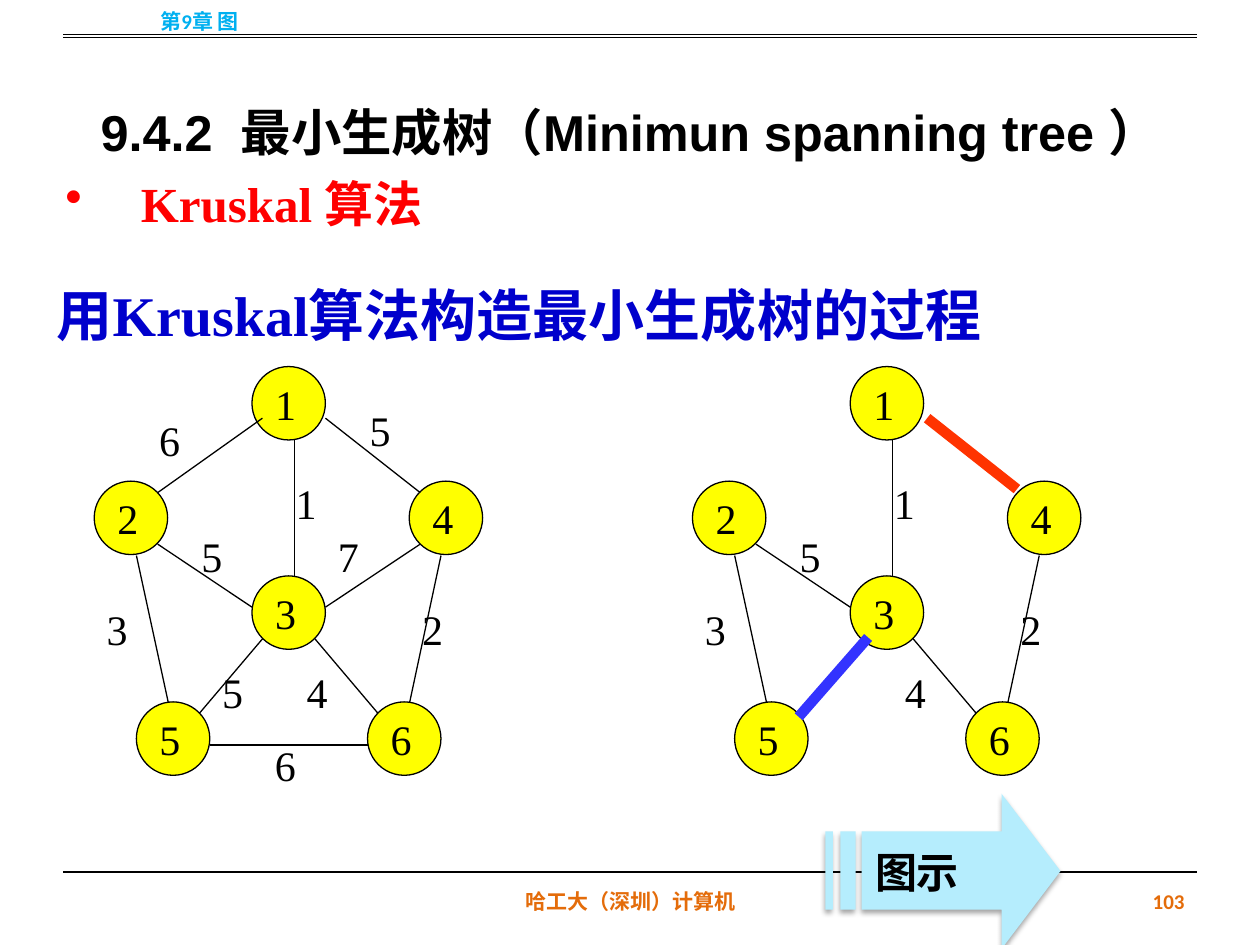
from lxml import etree
from pptx import Presentation
from pptx.dml.color import RGBColor
from pptx.enum.shapes import MSO_CONNECTOR, MSO_SHAPE
from pptx.enum.text import MSO_ANCHOR, PP_ALIGN
from pptx.oxml.ns import qn
from pptx.util import Cm, Pt

LINE, OVAL = MSO_CONNECTOR.STRAIGHT, MSO_SHAPE.OVAL
TOP, MID = MSO_ANCHOR.TOP, MSO_ANCHOR.MIDDLE
LEFT, MIDST, RIGHT, JUST = (PP_ALIGN.LEFT, PP_ALIGN.CENTER,
                            PP_ALIGN.RIGHT, PP_ALIGN.JUSTIFY)
SERIF = "Times New Roman"
HUE = {"black": "000000", "orange": "E46C0A", "sky": "00B0F0", "navy": "0000CC",
       "red": "FF0000", "node": "FFFF00", "arrow": "B5EDFD",
       "blue": "3333FF", "flame": "FF3300"}

# Content; all lengths are in centimetres
FRAME = [
    ("9.4.2  最小生成树（Minimun spanning tree ）", (1.27, 0.76, 22.86, 3.18),
     dict(size=28.8, font="Arial", bold=True, align=MIDST, anchor=MID, space=1.5)),
    ("哈工大（深圳）计算机", (8.69, 17.65, 8.05, 1.02),
     dict(size=12, font="Calibri", hue="orange", bold=True, align=MIDST, anchor=MID)),
    ("103", (18.21, 17.65, 5.92, 1.02),
     dict(size=12, font="Calibri", hue="orange", bold=True, align=RIGHT, anchor=MID)),
    ("第9章 图", (0, -0.08, 8.05, 1.02),
     dict(size=12, font="Calibri", hue="sky", bold=True, align=MIDST, anchor=MID)),
    ("用Kruskal算法构造最小生成树的过程", (0.89, 5.54, 19.2, 1.6),
     dict(size=32, hue="navy", bold=True)),
    ("Kruskal 算法", (-0.2, 3.38, 10.82, 1.45),
     dict(size=28, hue="red", bold=True, align=JUST, bullet=(2.79, -1.52))),
]
RULES = [0.69, 0.76, 17.58]
NODES = {"1": (5.08, 7.39), "2": (1.9, 9.7), "3": (5.08, 11.61),
         "4": (8.25, 9.7), "5": (2.75, 14.15), "6": (7.41, 14.15)}
# edge: line ends, weight, corner of the weight's box
EDGES = {
    "12": ((5.29, 8.43, 3.18, 9.93), "6", (2.96, 8.23)),
    "14": ((6.56, 8.43, 8.47, 9.93), "5", (7.2, 8.02)),
    "23": ((3.18, 10.97, 5.08, 12.24), "5", (3.81, 10.57)),
    "34": ((6.56, 12.24, 8.47, 10.97), "7", (6.56, 10.57)),
    "25": ((2.75, 11.2, 3.39, 14.15), "3", (1.9, 12.04)),
    "46": ((8.89, 11.2, 8.26, 14.15), "2", (8.26, 12.04)),
    "56": ((4.23, 15.02, 7.41, 15.02), "6", (5.29, 14.78)),
    "13": ((5.93, 8.87, 5.93, 11.61), "1", (5.71, 9.5)),
    "35": ((5.29, 12.88, 4.02, 14.38), "5", (4.23, 13.31)),
    "36": ((6.35, 12.88, 7.62, 14.38), "4", (5.93, 13.31)),
}
GRAPHS = [(0, list(EDGES)), (12.06, ["23", "13", "25", "46", "36"])]
TRIALS = [((16.1, 14.45, 17.5, 12.85), "blue"), ((18.69, 8.43, 20.5, 9.86), "flame")]
NODE, TAG = 1.48, (1.48, 1.27)
HIGH, LOW = 16.76, 18.34
STRIPES = [(16.94, 17.25), (16.64, 16.79)]
HEAD = [(20.19, 16), (20.19, HIGH), (17.37, HIGH), (17.37, LOW),
        (20.19, LOW), (20.19, 19.13), (21.38, 17.56)]

deck = Presentation()
deck.slide_width, deck.slide_height = Cm(25.4), Cm(19.05)
slide = deck.slides.add_slide(deck.slide_layouts[6])
shapes = slide.shapes


def rgb(name):
    return RGBColor.from_string(HUE[name])


def write(shape, text, size=24, font=SERIF, hue="black", bold=False, align=LEFT,
          anchor=TOP, wrap=True, space=None, bullet=None):
    frame = shape.text_frame
    frame.word_wrap, frame.vertical_anchor = wrap, anchor
    para = frame.paragraphs[0]
    para.alignment = align
    if space:
        para.line_spacing = space
    if bullet:
        props = para._p.get_or_add_pPr()
        props.set("marL", str(Cm(bullet[0])))
        props.set("indent", str(Cm(bullet[1])))
        etree.SubElement(props, qn("a:buChar")).set("char", "•")
    run = para.add_run()
    run.text = text
    run.font.size, run.font.name, run.font.bold = Pt(size), font, bold
    run.font.color.rgb = rgb(hue)


def label(text, box, **form):
    write(shapes.add_textbox(*map(Cm, box)), text, **form)


def rule(ends, hue="black", width=0.75):
    line = shapes.add_connector(LINE, *map(Cm, ends))
    line.line.color.rgb, line.line.width = rgb(hue), Pt(width)
    etree.SubElement(line._element.spPr, qn("a:effectLst"))


def graph(shift, edges):
    for name, (x, y) in NODES.items():
        node = shapes.add_shape(OVAL, *map(Cm, (x + shift, y, NODE, NODE)))
        node.shadow.inherit = False
        node.fill.solid()
        node.fill.fore_color.rgb = rgb("node")
        node.line.color.rgb, node.line.width = rgb("black"), Pt(0.75)
        write(node, name, anchor=MID, wrap=False)
    for key in edges:
        (x1, y1, x2, y2), weight, (x, y) = EDGES[key]
        rule((x1 + shift, y1, x2 + shift, y2))
        label(weight, (x + shift, y, *TAG))


def arrow(text):
    """Draw the striped arrow with its soft shadow."""
    bars = [[(a, HIGH), (a, LOW), (b, LOW), (b, HIGH)] for a, b in STRIPES]
    paths = [[(Cm(x), Cm(y)) for x, y in path] for path in [HEAD, *bars]]
    pen = shapes.build_freeform(*paths[0][0])
    for path in paths:
        if path is not paths[0]:
            pen.move_to(*path[0])
        pen.add_line_segments(path[1:], close=True)
    shape = pen.convert_to_shape()
    shape.shadow.inherit = False
    shape.fill.solid()
    shape.fill.fore_color.rgb = rgb("arrow")
    shape.line.fill.background()
    glow = etree.SubElement(shape._element.spPr.find(qn("a:effectLst")),
                            qn("a:outerShdw"), blurRad=str(Pt(3.1)),
                            dist=str(Pt(1.8)), dir="5400000", rotWithShape="0")
    tint = etree.SubElement(glow, qn("a:srgbClr"), val=HUE["black"])
    etree.SubElement(tint, qn("a:alpha"), val="35000")
    shape.text_frame.margin_left = Cm(1)
    write(shape, text, font="TeX Gyre Pagella", bold=True, anchor=MID, wrap=False)


for text, box, form in FRAME:
    label(text, box, **form)
for y in RULES:
    rule((1.27, y, 24.13, y))
for shift, edges in GRAPHS:
    graph(shift, edges)
arrow("图示")
for ends, hue in TRIALS:
    rule(ends, hue, 6)
deck.save("out.pptx")
